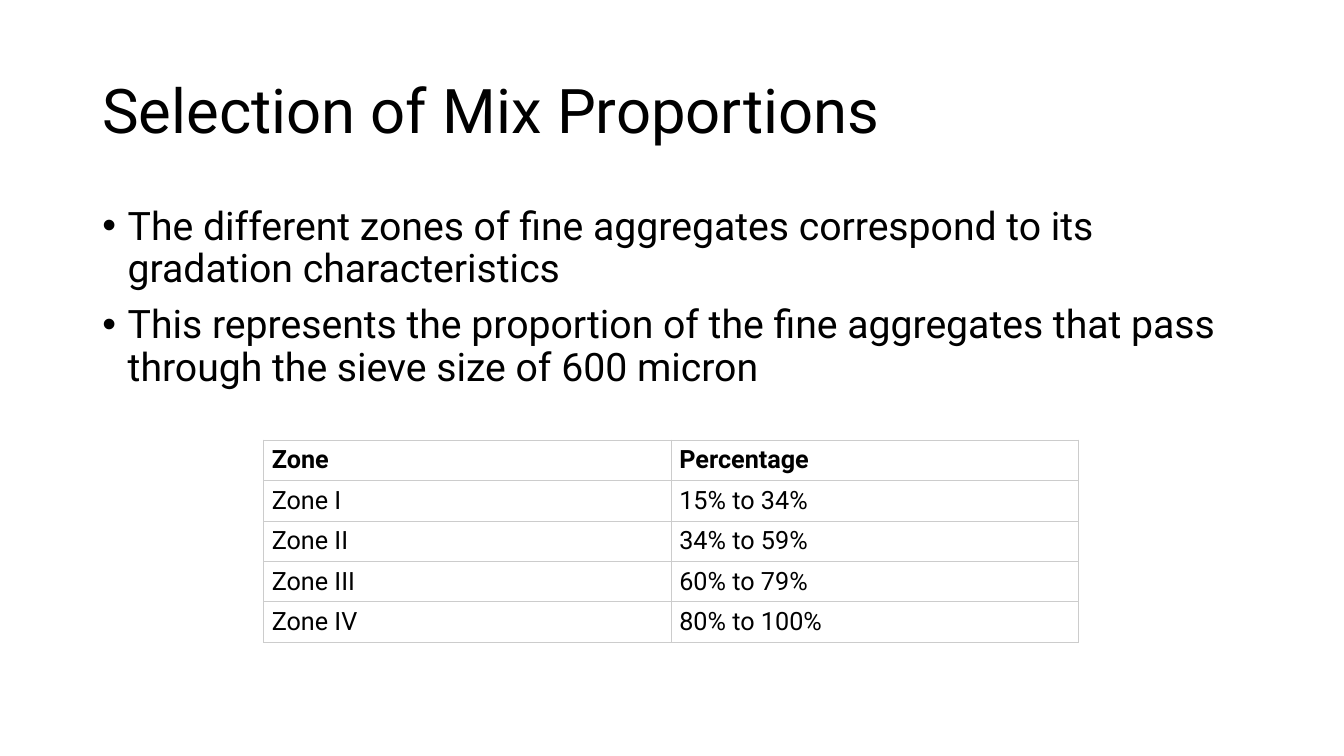
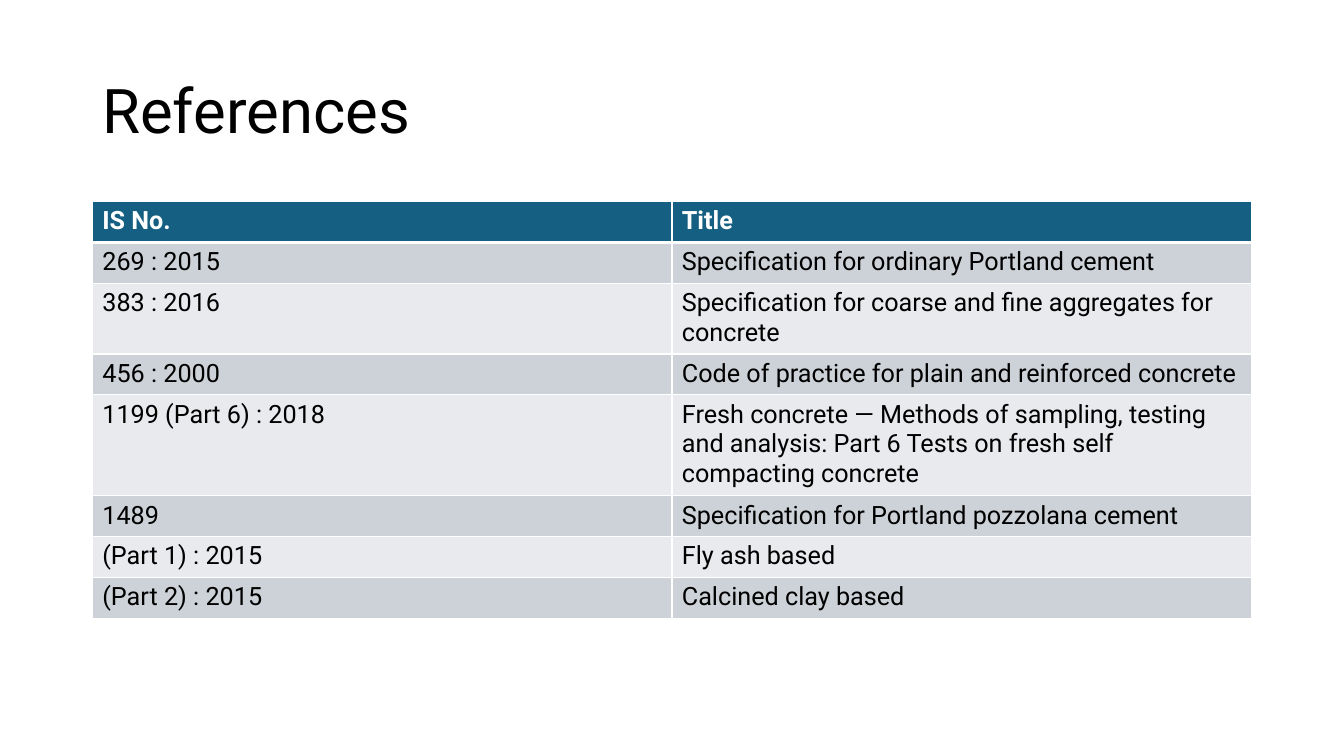
from lxml import etree
from pptx import Presentation
from pptx import util as u
from pptx.dml.color import RGBColor
from pptx.enum import text
from pptx.oxml.ns import qn

COLOURS = {
    "ink": "000000",
    "paper": "FFFFFF",
    "grid": "CCCCCC",
    "header": "156082",
    "band_dark": "CCD2D8",
    "band_light": "E8EAED",
}
FONT = "Roboto"
TITLE_BOX = (u.Cm(2.33), u.Cm(1.01), u.Cm(29.21), u.Cm(3.68))
BODY_BOX = (u.Cm(2.33), u.Cm(5.07), u.Cm(29.21), u.Cm(12.09))
ZONE_BOX = (u.Cm(6.65), u.Cm(11.09), u.Cm(20.54), u.Cm(5.1))
REFERENCE_BOX = (u.Cm(2.33), u.Cm(5.08), u.Cm(29.21), u.Cm(8.24))

POINTS = [
    "The different zones of fine aggregates correspond to its gradation characteristics",
    "This represents the proportion of the fine aggregates that pass through the sieve size of 600 micron",
]
ZONES = [
    ("Zone", "Percentage"),
    ("Zone I", "15% to 34%"),
    ("Zone II", "34% to 59%"),
    ("Zone III", "60% to 79%"),
    ("Zone IV", "80% to 100%"),
]
REFERENCES = [
    ("IS No.", "Title"),
    ("269 : 2015", "Specification for ordinary Portland cement"),
    ("383 : 2016", "Specification for coarse and fine aggregates for concrete"),
    ("456 : 2000", "Code of practice for plain and reinforced concrete"),
    ("1199 (Part 6) : 2018", "Fresh concrete — Methods of sampling, testing and analysis: "
                             "Part 6 Tests on fresh self compacting concrete"),
    ("1489", "Specification for Portland pozzolana cement"),
    ("(Part 1) : 2015", "Fly ash based"),
    ("(Part 2) : 2015", "Calcined clay based"),
]


def style_font(font, size, colour="ink", bold=False):
    font.name = FONT
    font.size = u.Pt(size)
    font.bold = bold
    font.color.rgb = RGBColor.from_string(COLOURS[colour])


def add_text(slide, box, lines, size, anchor, bulleted=False):
    frame = slide.shapes.add_textbox(*box).text_frame
    frame.word_wrap = True
    frame.vertical_anchor = anchor
    frame.text = "\n".join(lines)
    for index, para in enumerate(frame.paragraphs):
        para.line_spacing = 0.9
        if index:
            para.space_before = u.Pt(10)
        if bulleted:
            add_bullet(para)
        for span in para.runs:
            style_font(span.font, size)


def add_bullet(para):
    indent = u.Cm(0.64)
    properties = para._p.get_or_add_pPr()
    properties.set("marL", str(indent))
    properties.set("indent", str(-indent))
    etree.SubElement(properties, qn("a:buFont"), typeface="Arial")
    etree.SubElement(properties, qn("a:buChar"), char="•")


def set_borders(cell, colour, width, bottom_width):
    """Draw the cell's four edges; call before setting its fill."""
    properties = cell._tc.get_or_add_tcPr()
    for side in "LRTB":
        points = bottom_width if side == "B" else width
        line = etree.SubElement(properties, qn(f"a:ln{side}"), w=str(u.Pt(points)))
        fill = etree.SubElement(line, qn("a:solidFill"))
        etree.SubElement(fill, qn("a:srgbClr"), val=COLOURS[colour])


def add_table(slide, box, rows, header, bands, border, width, header_rule,
              header_text="ink", side_margin=0.25, anchor=text.MSO_ANCHOR.TOP):
    """Add a bold header row, then rows whose fills cycle through bands."""
    table = slide.shapes.add_table(len(rows), len(rows[0]), *box).table
    table.horz_banding = False
    table.first_row = False
    for row_index, values in enumerate(rows):
        is_header = row_index == 0
        fill = header if is_header else bands[(row_index - 1) % len(bands)]
        for column_index, value in enumerate(values):
            cell = table.cell(row_index, column_index)
            set_borders(cell, border, width, header_rule if is_header else width)
            cell.fill.solid()
            cell.fill.fore_color.rgb = RGBColor.from_string(COLOURS[fill])
            cell.margin_left = cell.margin_right = u.Cm(side_margin)
            cell.vertical_anchor = anchor
            cell.text = value
            style_font(cell.text_frame.paragraphs[0].runs[0].font, 18,
                       header_text if is_header else "ink", is_header)


def add_page(deck, title):
    page = deck.slides.add_slide(deck.slide_layouts[6])
    add_text(page, TITLE_BOX, [title], 44, text.MSO_ANCHOR.MIDDLE)
    return page


def build_mix_proportions(deck):
    page = add_page(deck, "Selection of Mix Proportions")
    add_text(page, BODY_BOX, POINTS, 28, text.MSO_ANCHOR.TOP, bulleted=True)
    add_table(page, ZONE_BOX, ZONES, "paper", ["paper"], "grid", 0.75, 0.75,
              side_margin=0.2, anchor=text.MSO_ANCHOR.MIDDLE)


def build_references(deck):
    page = add_page(deck, "References")
    add_table(page, REFERENCE_BOX, REFERENCES, "header", ["band_dark", "band_light"],
              "paper", 1, 3, header_text="paper")


def main():
    deck = Presentation()
    deck.slide_width = u.Cm(33.87)
    deck.slide_height = u.Cm(19.05)
    build_mix_proportions(deck)
    build_references(deck)
    deck.save("out.pptx")


if __name__ == "__main__":
    main()
